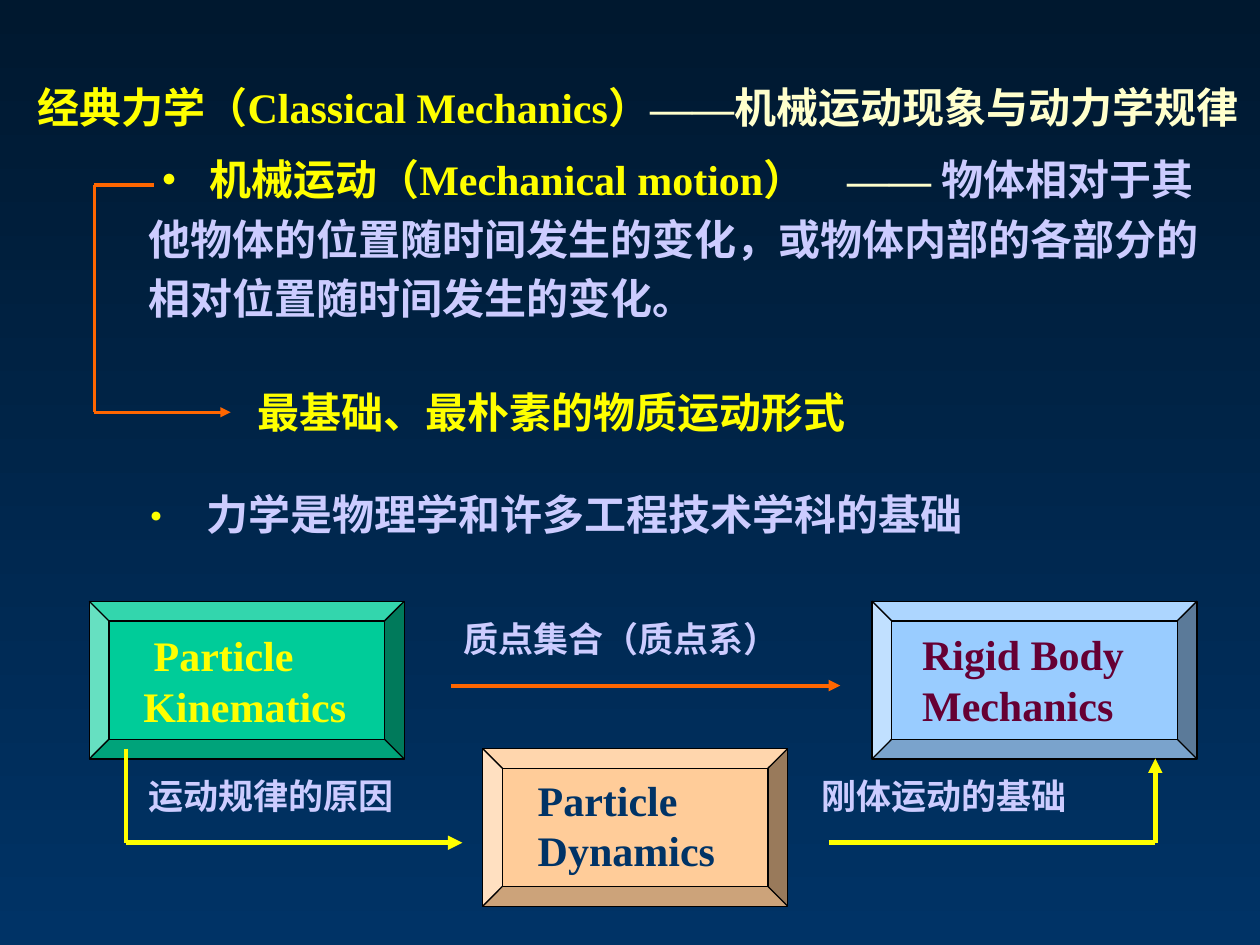
from lxml import etree
from pptx import Presentation
from pptx.dml.color import RGBColor
from pptx.enum.shapes import MSO_CONNECTOR, MSO_SHAPE
from pptx.oxml.ns import qn
from pptx.util import Cm, Pt

STRAIGHT = MSO_CONNECTOR.STRAIGHT
BEVEL = MSO_SHAPE.BEVEL

LATIN = "Times New Roman"
CHINESE = "Noto Sans CJK SC"
YELLOW, CREAM, LAVENDER = "FFFF00", "FFFFCC", "CCCCFF"
ORANGE, NAVY, PLUM = "FF6600", "003366", "660033"


def color(value):
    return RGBColor.from_string(value)


def add_text(left, top, width, height, paragraphs, size=24):
    """Add a text box; each paragraph is a list of (text, colour, latin font, Asian font)."""
    box = slide.shapes.add_textbox(Cm(left), Cm(top), Cm(width), Cm(height))
    frame = box.text_frame
    frame.word_wrap = True
    for index, runs in enumerate(paragraphs):
        paragraph = frame.add_paragraph() if index else frame.paragraphs[0]
        for text, run_color, latin, asian in runs:
            run = paragraph.add_run()
            run.text = text
            run.font.size = Pt(size)
            run.font.bold = True
            run.font.name = latin
            run.font.color.rgb = color(run_color)
            etree.SubElement(run.font._element, qn("a:ea")).set("typeface", asian)
    return frame.paragraphs


presentation = Presentation()
presentation.slide_width, presentation.slide_height = Cm(25.4), Cm(19.05)
slide = presentation.slides.add_slide(presentation.slide_layouts[6])

background = slide.background.fill
background.gradient()
background.gradient_angle = 270
for stop, stop_color in zip(background.gradient_stops, ("00182F", NAVY)):
    stop.color.rgb = color(stop_color)

# Definitions
add_text(0.51, 1.52, 24.89, 1.27, [[
    ("经典力学（Classical Mechanics）", YELLOW, LATIN, CHINESE),
    ("——", CREAM, LATIN, LATIN),
    ("机械运动现象与动力学规律", CREAM, CHINESE, CHINESE),
]])

motion = add_text(2.74, 2.79, 21.79, 3.73, [[
    ("•\t机械运动（Mechanical motion）\t", YELLOW, LATIN, CHINESE),
    ("—— ", CREAM, LATIN, LATIN),
    ("物体相对于其他物体的位置随时间发生的变化，或物体内部的各部分的相对位置随时间发生的变化。",
     LAVENDER, CHINESE, CHINESE),
]])[0]
motion.line_spacing = Pt(34)
tabs = etree.SubElement(motion._p.get_or_add_pPr(), qn("a:tabLst"))
for position in (1.23, 14.09):
    etree.SubElement(tabs, qn("a:tab"), pos=str(Cm(position)), algn="l")

add_text(4.95, 7.67, 17.78, 1.27,
         [[("最基础、最朴素的物质运动形式", YELLOW, LATIN, CHINESE)]])

foundation = add_text(2.49, 9.73, 19.69, 1.27,
                      [[("力学是物理学和许多工程技术学科的基础", LAVENDER, LATIN, CHINESE)]])[0]
properties = foundation._p.get_or_add_pPr()
properties.set("marL", str(Cm(1.43)))
properties.set("indent", str(-Cm(1.43)))
bullet_color = etree.SubElement(properties, qn("a:buClr"))
etree.SubElement(bullet_color, qn("a:srgbClr"), val=YELLOW)
etree.SubElement(properties, qn("a:buFont"), typeface=CHINESE)
etree.SubElement(properties, qn("a:buChar"), char="•")

# Branches of mechanics
for left, top, width, fill in (
    (1.8, 12.12, 6.35, "00CC99"),
    (9.73, 15.09, 6.15, "FFCC99"),
    (17.58, 12.12, 6.55, "99CCFF"),
):
    bevel = slide.shapes.add_shape(BEVEL, Cm(left), Cm(top), Cm(width), Cm(3.18))
    bevel.shadow.inherit = False
    bevel.fill.solid()
    bevel.fill.fore_color.rgb = color(fill)
    bevel.line.color.rgb = color("000000")
    bevel.line.width = Pt(0.75)

kinematics = add_text(2.64, 12.57, 6.02, 2.29, [
    [("Particle", YELLOW, LATIN, CHINESE)],
    [("Kinematics", YELLOW, LATIN, CHINESE)],
])
kinematics[0]._p.get_or_add_pPr().set("marL", str(Cm(0.21)))
add_text(10.59, 15.49, 9.04, 2.29, [
    [("Particle", NAVY, LATIN, CHINESE)],
    [("Dynamics", NAVY, LATIN, CHINESE)],
])
add_text(18.34, 12.55, 5.59, 2.29, [[("Rigid Body Mechanics", PLUM, LATIN, CHINESE)]])

# Links between the branches
for left, top, width, label in (
    (2.74, 15.49, 8.89, "运动规律的原因"),
    (9.09, 12.32, 11, "质点集合（质点系）"),
    (16.31, 15.49, 7.62, "刚体运动的基础"),
):
    add_text(left, top, width, 1.09, [[(label, LAVENDER, LATIN, CHINESE)]], size=20)

for points, line_color, weight in (
    (((2.54, 15.09), (2.54, 16.99), (9.32, 16.99)), YELLOW, 2.75),
    (((9.09, 13.82), (16.94, 13.82)), ORANGE, 2.25),
    (((16.71, 16.99), (23.29, 16.99), (23.29, 15.29)), YELLOW, 2.75),
    (((3.1, 3.73), (1.9, 3.73), (1.9, 8.31), (4.65, 8.31)), ORANGE, 1.75),
):
    for start, end in zip(points, points[1:]):
        connector = slide.shapes.add_connector(
            STRAIGHT, *(Cm(value) for value in start + end))
        connector.line.color.rgb = color(line_color)
        connector.line.width = Pt(weight)
        etree.SubElement(connector._element.spPr, qn("a:effectLst"))
    # The last segment carries the arrowhead
    etree.SubElement(connector.line._get_or_add_ln(), qn("a:tailEnd"), type="triangle")

presentation.save("out.pptx")
